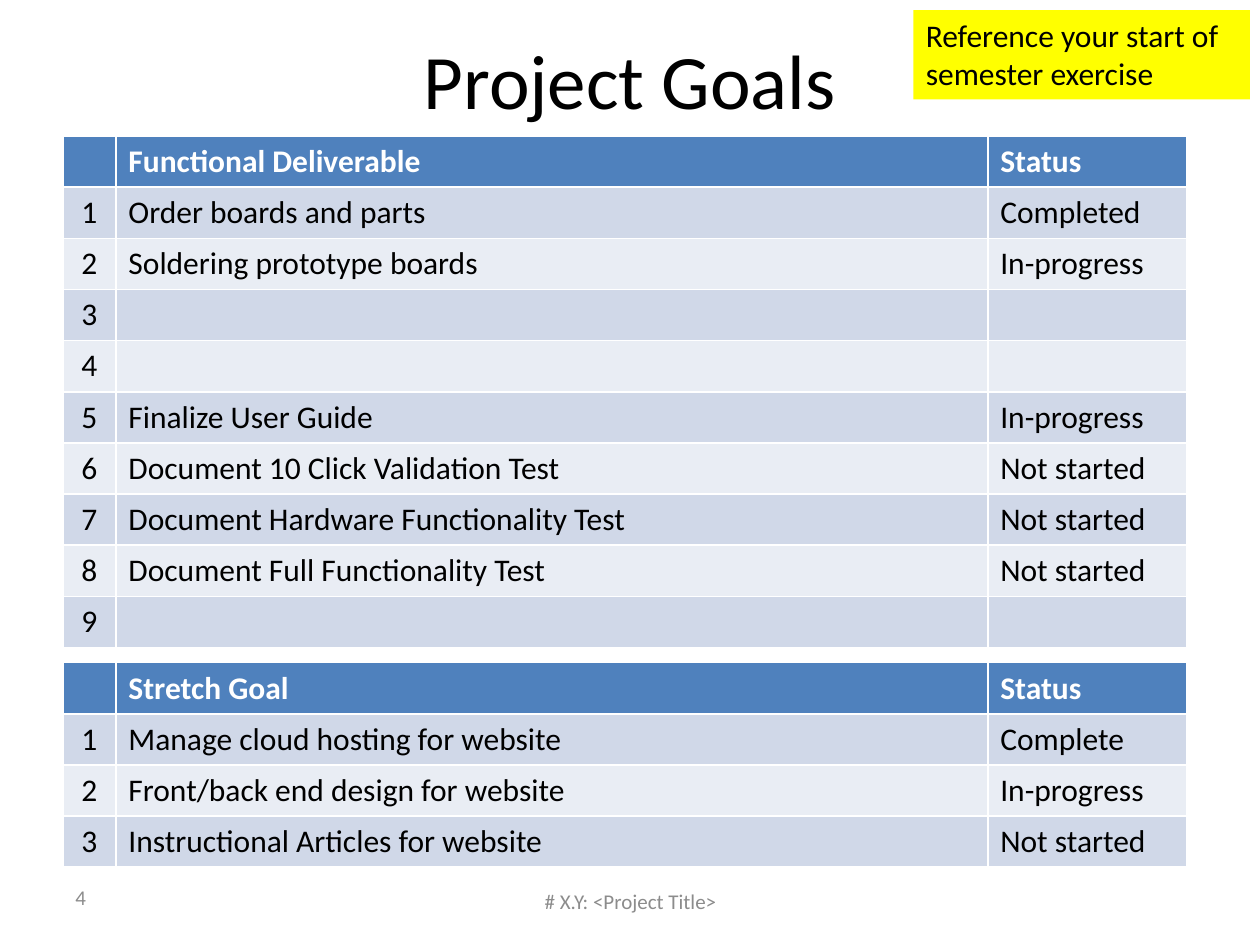
from pptx import Presentation
from pptx.dml.color import RGBColor
from pptx.enum.shapes import MSO_SHAPE
from pptx.enum.text import MSO_ANCHOR, PP_ALIGN
from pptx.util import Inches, Pt

HEADER_FILL = "4F81BD"
BAND_FILLS = ("D0D8E8", "E9EDF4")
COLUMN_WIDTHS = (0.42, 6.92, 1.58)

DELIVERABLES = [
    ("Order boards and parts", "Completed"),
    ("Soldering prototype boards", "In-progress"),
    ("", ""),
    ("", ""),
    ("Finalize User Guide", "In-progress"),
    ("Document 10 Click Validation Test", "Not started"),
    ("Document Hardware Functionality Test", "Not started"),
    ("Document Full Functionality Test", "Not started"),
    ("", ""),
]
STRETCH_GOALS = [
    ("Manage cloud hosting for website", "Complete"),
    ("Front/back end design for website", "In-progress"),
    ("Instructional Articles for website", "Not started"),
]


def color(hex_value):
    return RGBColor.from_string(hex_value)


def paint(fill, hex_value):
    fill.solid()
    fill.fore_color.rgb = color(hex_value)


def write(frame, text, size, hex_value="000000", align=PP_ALIGN.LEFT, bold=False):
    frame.text = text
    paragraph = frame.paragraphs[0]
    paragraph.alignment = align
    font_format = {"name": "Calibri", "size": Pt(size), "bold": bold}
    for attribute, value in font_format.items():
        setattr(paragraph.font, attribute, value)
    paragraph.font.color.rgb = color(hex_value)


def place(shape, left, top, width, height):
    box = {"left": left, "top": top, "width": width, "height": height}
    for attribute, value in box.items():
        setattr(shape, attribute, Inches(value))


def add_title(slide, text):
    title = slide.shapes.title
    place(title, 0.5, 0, 9, 1.25)
    title.text_frame.vertical_anchor = MSO_ANCHOR.MIDDLE
    write(title.text_frame, text, 44, align=PP_ALIGN.CENTER)


def add_goal_table(slide, heading, goals, top, height):
    rows = [("", heading, "Status")]
    rows += [(str(number), *goal) for number, goal in enumerate(goals, 1)]
    goal_table = slide.shapes.add_table(
        len(rows), len(COLUMN_WIDTHS), Inches(0.5), Inches(top),
        Inches(sum(COLUMN_WIDTHS)), Inches(height)).table
    for column, width in zip(goal_table.columns, COLUMN_WIDTHS):
        column.width = Inches(width)
    for row_index, row in enumerate(rows):
        is_header = row_index == 0
        row_fill = HEADER_FILL if is_header else BAND_FILLS[(row_index - 1) % 2]
        for column_index, text in enumerate(row):
            cell = goal_table.cell(row_index, column_index)
            paint(cell.fill, row_fill)
            write(cell.text_frame, text, 18,
                  "FFFFFF" if is_header else "000000",
                  PP_ALIGN.LEFT if column_index else PP_ALIGN.CENTER, is_header)


def add_footer(slide, text, left, top, width, align):
    footer = slide.shapes.add_textbox(
        Inches(left), Inches(top), Inches(width), Inches(0.4))
    footer.text_frame.word_wrap = True
    footer.text_frame.vertical_anchor = MSO_ANCHOR.MIDDLE
    write(footer.text_frame, text, 12, "8C8C8C", align)


def add_reminder(slide, text):
    reminder = slide.shapes.add_shape(
        MSO_SHAPE.RECTANGLE, Inches(7.25), Inches(0.08), Inches(2.67), Inches(0.71))
    reminder.shadow.inherit = False
    reminder.line.fill.background()
    paint(reminder.fill, "FFFF00")
    frame_format = {"word_wrap": True, "vertical_anchor": MSO_ANCHOR.TOP}
    for attribute, value in frame_format.items():
        setattr(reminder.text_frame, attribute, value)
    write(reminder.text_frame, text, 18)


def main():
    presentation = Presentation()
    presentation.slide_width = Inches(10)
    presentation.slide_height = Inches(7.5)
    slide = presentation.slides.add_slide(presentation.slide_layouts[5])
    add_title(slide, "Project Goals")
    add_goal_table(slide, "Functional Deliverable", DELIVERABLES, 1.08, 4.06)
    add_goal_table(slide, "Stretch Goal", STRETCH_GOALS, 5.26, 1.62)
    add_footer(slide, "# X.Y: <Project Title>", 3.42, 6.95, 3.17, PP_ALIGN.CENTER)
    add_footer(slide, "4", 0.5, 6.92, 2.33, PP_ALIGN.LEFT)
    add_reminder(slide, "Reference your start of semester exercise")
    presentation.save("out.pptx")


if __name__ == "__main__":
    main()
